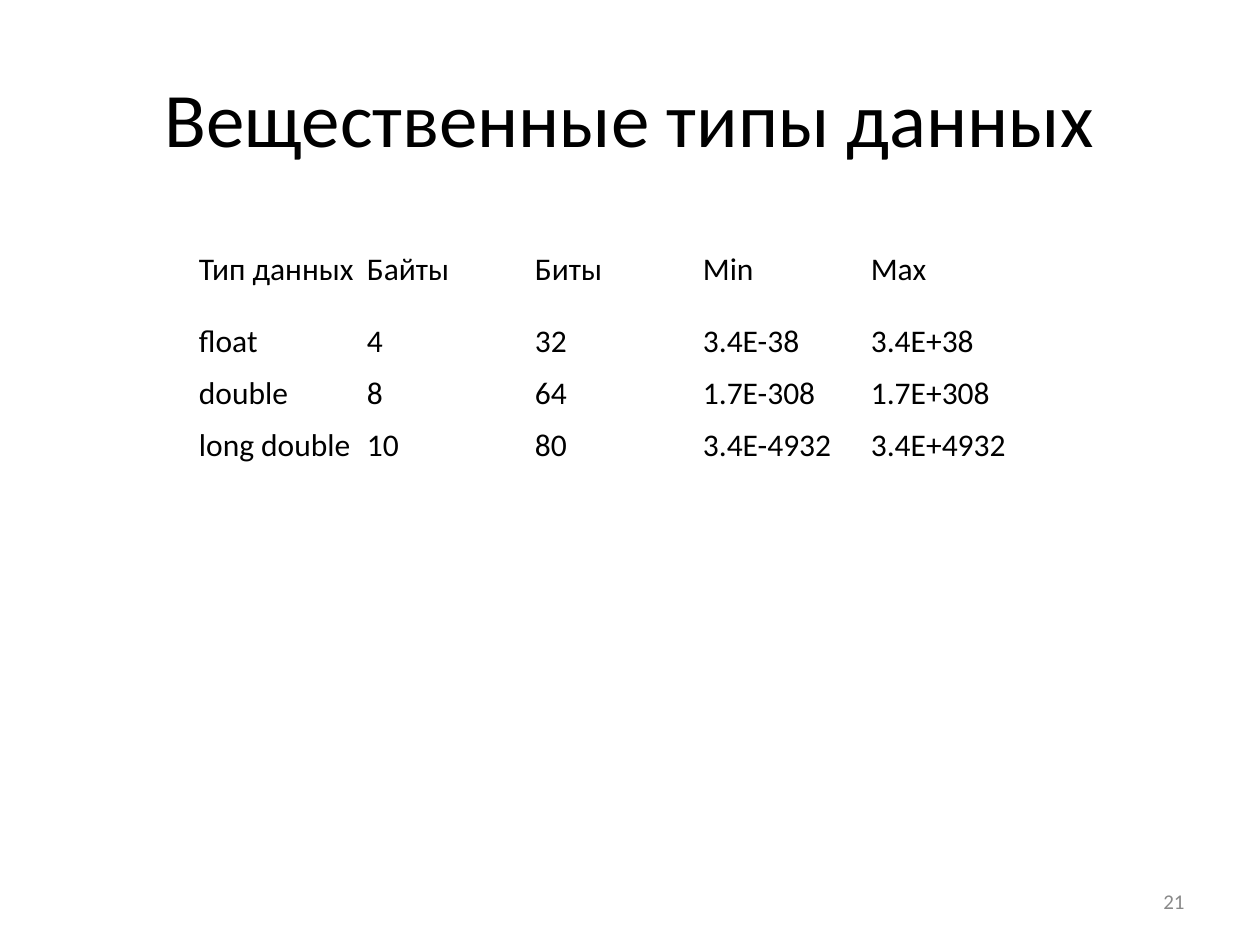
from pptx import Presentation
from pptx.dml.color import RGBColor
from pptx.enum.text import MSO_ANCHOR, PP_ALIGN
from pptx.util import Pt

PX = 914400 // 126  # EMU in one px
BLACK = RGBColor(0x00, 0x00, 0x00)
GREY = RGBColor(0x89, 0x89, 0x89)
FONT = "Calibri"
LEFT, CENTER, RIGHT = PP_ALIGN.LEFT, PP_ALIGN.CENTER, PP_ALIGN.RIGHT
MIDDLE = MSO_ANCHOR.MIDDLE


def write(frame, text, size=18, color=BLACK, align=LEFT, spacing=1.0):
    para = frame.paragraphs[0]
    para.alignment = align
    para.line_spacing = spacing
    span = para.add_run()
    span.text = text
    span.font.name = FONT
    span.font.size = Pt(size)
    span.font.color.rgb = color


deck = Presentation()
deck.slide_width, deck.slide_height = 1260 * PX, 945 * PX
page = deck.slides.add_slide(deck.slide_layouts[5])

# Title
title = page.shapes.title
title.left, title.top, title.width, title.height = 63 * PX, 38 * PX, 1134 * PX, 157 * PX
title.text_frame.vertical_anchor = MIDDLE
write(title.text_frame, "Вещественные типы данных", size=44, align=CENTER)

# Table of floating-point types
ROWS = [
    ("Тип данных", "Байты", "Биты", "Min", "Max"),
    ("float", "4", "32", "3.4E-38", "3.4E+38"),
    ("double", "8", "64", "1.7E-308", "1.7E+308"),
    ("long double", "10", "80", "3.4E-4932", "3.4E+4932"),
]
COLUMN, HEADER, ROW, INSET = 168, 91, 52, 6
table = page.shapes.add_table(
    len(ROWS), len(ROWS[0]), 193 * PX, 224 * PX,
    COLUMN * len(ROWS[0]) * PX, (HEADER + ROW * (len(ROWS) - 1)) * PX).table
table.first_row = False
table.horz_banding = False
for column in table.columns:
    column.width = COLUMN * PX
for index, values in enumerate(ROWS):
    table.rows[index].height = (ROW if index else HEADER) * PX
    for cell, value in zip(table.rows[index].cells, values):
        cell.fill.background()
        cell.vertical_anchor = MIDDLE
        cell.margin_left = cell.margin_right = INSET * PX
        cell.margin_top = cell.margin_bottom = INSET * PX
        write(cell.text_frame, value, spacing=1.02)

# Page number
number = page.shapes.add_textbox(903 * PX, 876 * PX, 294 * PX, 50 * PX)
number.text_frame.word_wrap = True
number.text_frame.vertical_anchor = MIDDLE
write(number.text_frame, "21", size=12, color=GREY, align=RIGHT)

deck.save("out.pptx")
